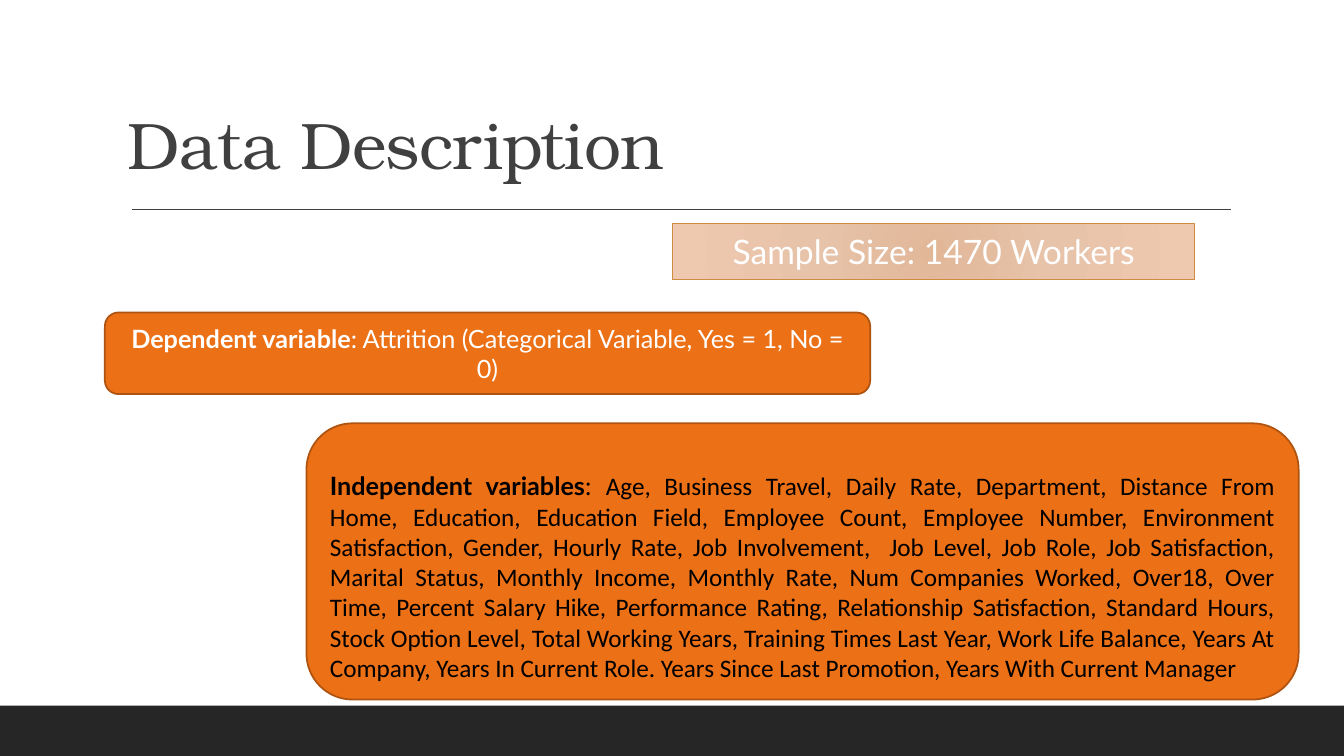
from pptx import Presentation
from pptx.dml.color import RGBColor
from pptx.enum.shapes import MSO_CONNECTOR, MSO_SHAPE
from pptx.enum.text import MSO_ANCHOR, PP_ALIGN
from pptx.oxml import parse_xml
from pptx.oxml.ns import nsdecls, qn
from pptx.util import Inches, Pt

RECT = MSO_SHAPE.RECTANGLE
PROCESS = MSO_SHAPE.FLOWCHART_PROCESS
ROUNDED = MSO_SHAPE.FLOWCHART_ALTERNATE_PROCESS
CENTER, JUSTIFY, LEFT = PP_ALIGN.CENTER, PP_ALIGN.JUSTIFY, PP_ALIGN.LEFT

COLORS = {
    "footer": "262626", "heading": "404040", "orange": "EC7016",
    "orange_edge": "AF5310", "sample_edge": "CE8D3E",
    "white": "FFFFFF", "black": "000000",
}
SAMPLE_GRADIENT = [(0, "E1B798"), (45, "E7C3AA"), (100, "EFC9AF")]
BODY_FONT, LIST_FONT, TITLE_FONT = "Lato", "Calibri", "TeX Gyre Bonum"

TITLE = "Data Description"
# Runs are (text, bold, font)
DEPENDENT = [
    ("Dependent variable", True, BODY_FONT),
    (": Attrition (Categorical Variable, Yes = 1, No = 0)", False, BODY_FONT),
]
INDEPENDENT = [
    ("Independent variables", True, BODY_FONT),
    (": ", False, BODY_FONT),
    ("Age, Business Travel, Daily Rate, Department, Distance From Home, "
     "Education, Education Field, Employee Count, Employee Number, "
     "Environment Satisfaction, Gender, Hourly Rate, Job Involvement,  "
     "Job Level, Job Role, Job Satisfaction, Marital Status, Monthly Income, "
     "Monthly Rate, Num Companies Worked, Over18, Over Time, "
     "Percent Salary Hike, Performance Rating, Relationship Satisfaction, "
     "Standard Hours, Stock Option Level, Total Working Years, "
     "Training Times Last Year, Work Life Balance, Years At Company, "
     "Years In Current Role. Years Since Last Promotion, "
     "Years With Current Manager", False, LIST_FONT),
]
SAMPLE = [("Sample Size: 1470 Workers", False, BODY_FONT)]


def rgb(name):
    return RGBColor.from_string(COLORS[name])


def add_box(slide, kind, box, fill, edge=None, edge_width=1):
    shape = slide.shapes.add_shape(kind, *map(Inches, box))
    shape.shadow.inherit = False
    shape.fill.solid()
    shape.fill.fore_color.rgb = rgb(fill)
    if edge:
        shape.line.color.rgb = rgb(edge)
        shape.line.width = Pt(edge_width)
    else:
        shape.line.fill.background()
    return shape


def write(shape, runs, size, color, align, anchor=MSO_ANCHOR.MIDDLE):
    frame = shape.text_frame
    frame.word_wrap = True
    frame.vertical_anchor = anchor
    paragraph = frame.paragraphs[0]
    paragraph.alignment = align
    paragraph.font.size = Pt(size)
    paragraph.font.color.rgb = rgb(color)
    for text, bold, font in runs:
        run = paragraph.add_run()
        run.text = text
        run.font.bold = bold
        run.font.name = font
    return paragraph


def fill_radial(shape, stops):
    """Replace the solid fill with a circular gradient around the middle."""
    stop_xml = "".join(
        f'<a:gs pos="{percent * 1000}"><a:srgbClr val="{color}"/></a:gs>'
        for percent, color in stops)
    gradient = parse_xml(
        f'<a:gradFill {nsdecls("a")}><a:gsLst>{stop_xml}</a:gsLst>'
        '<a:path path="circle"><a:fillToRect l="100000" t="100000" '
        'r="100000" b="100000"/></a:path></a:gradFill>')
    properties = shape.element.spPr
    properties.replace(properties.find(qn("a:solidFill")), gradient)


def main():
    deck = Presentation()
    deck.slide_width, deck.slide_height = Inches(13.33), Inches(7.5)
    slide = deck.slides.add_slide(deck.slide_layouts[6])

    add_box(slide, RECT, (0, 7, 13.33, 0.5), "footer")

    rule = slide.shapes.add_connector(
        MSO_CONNECTOR.STRAIGHT, *map(Inches, (1.31, 2.08, 12.21, 2.08)))
    rule.line.color.rgb = rgb("heading")
    rule.line.width = Pt(1)
    rule.element.spPr.append(parse_xml(f'<a:effectLst {nsdecls("a")}/>'))

    title = slide.shapes.add_textbox(*map(Inches, (1.17, 0.96, 11, 0.91)))
    heading = write(title, [(TITLE, False, TITLE_FONT)], 47, "heading",
                    LEFT, MSO_ANCHOR.BOTTOM)
    heading.line_spacing = 0.9
    heading.runs[0].font.element.set("spc", "-50") if hasattr(
        heading.runs[0].font, "element") else heading.runs[0]._r.get_or_add_rPr().set("spc", "-50")

    dependent = add_box(slide, ROUNDED, (1.04, 3.1, 7.59, 0.81),
                        "orange", "orange_edge", 1.25)
    write(dependent, DEPENDENT, 18, "white", CENTER)

    independent = add_box(slide, ROUNDED, (3.04, 4.2, 9.84, 2.74),
                          "orange", "orange_edge", 1.25)
    write(independent, INDEPENDENT, 18, "black", JUSTIFY)
    independent.text_frame.margin_top = Inches(0.35)

    sample = add_box(slide, PROCESS, (6.67, 2.22, 5.18, 0.55),
                     "orange", "sample_edge")
    fill_radial(sample, SAMPLE_GRADIENT)
    write(sample, SAMPLE, 24, "white", CENTER)

    deck.save("out.pptx")


if __name__ == "__main__":
    main()
